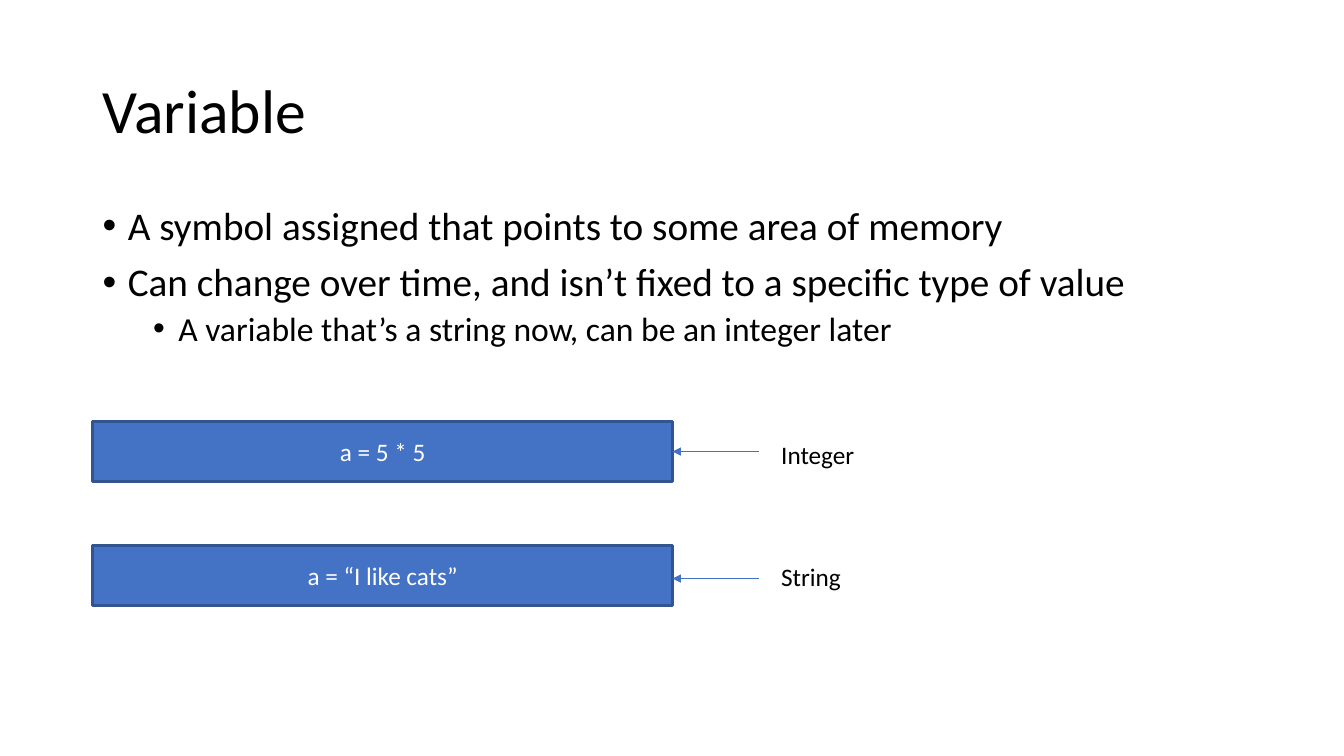
import pptx
import pptx.dml.color
import pptx.enum.shapes
import pptx.enum.text
import pptx.oxml
import pptx.oxml.ns
import pptx.util
from pptx.util import Inches

FONT = "Calibri"
BLACK = "000000"
WHITE = "FFFFFF"
BLUE = "4472C4"
DARK_BLUE = "325490"
LEFT = 0.92
BOX_WIDTH = 5.75
BOX_HEIGHT = 0.6

BULLETS = [
    ("A symbol assigned that points to some area of memory", 0),
    ("Can change over time, and isn\u2019t fixed to a specific type of value", 0),
    ("A variable that\u2019s a string now, can be an integer later", 1),
]
EXAMPLES = [
    ("a = 5 * 5", "Integer", 4.18, 4.48, 4.31),
    ("a = \u201cI like cats\u201d", "String", 5.41, 5.74, 5.52),
]


def color(value):
    return pptx.dml.color.RGBColor.from_string(value)


def add_child(parent, tag, **attributes):
    child = pptx.oxml.ns.qn(tag)
    element = parent.makeelement(child, attributes)
    parent.append(element)


def add_span(para, text, size, fill=BLACK):
    span = para.add_run()
    span.text = text
    span.font.name = FONT
    span.font.size = pptx.util.Pt(size)
    span.font.color.rgb = color(fill)


def add_title(page, text):
    title = page.shapes.title
    title.left, title.top = Inches(LEFT), Inches(0.4)
    title.width, title.height = Inches(11.5), Inches(1.45)
    frame = title.text_frame
    frame.auto_size = pptx.enum.text.MSO_AUTO_SIZE.NONE
    frame.vertical_anchor = pptx.enum.text.MSO_ANCHOR.MIDDLE
    para = frame.paragraphs[0]
    para.alignment = pptx.enum.text.PP_ALIGN.LEFT
    para.line_spacing = 0.9
    add_span(para, text, 44)


def add_text_box(page, left, top, width, height):
    box = page.shapes.add_textbox(Inches(left), Inches(top), Inches(width), Inches(height))
    box.text_frame.word_wrap = True
    return box.text_frame


def add_bullets(page, bullets):
    frame = add_text_box(page, LEFT, 2, 11.5, 4.76)
    for index, (text, level) in enumerate(bullets):
        para = frame.add_paragraph() if index else frame.paragraphs[0]
        para.level = level
        para.line_spacing = 0.9
        para.space_before = pptx.util.Pt(5 if level else 10)
        properties = para._p.get_or_add_pPr()
        properties.set("marL", str(Inches(0.25 + 0.5 * level)))
        properties.set("indent", str(Inches(-0.25)))
        add_child(properties, "a:buFont", typeface="Arial")
        add_child(properties, "a:buChar", char="\u2022")
        add_span(para, text, 24 if level else 28)


def add_code_box(page, text, top):
    box = page.shapes.add_shape(
        pptx.enum.shapes.MSO_SHAPE.RECTANGLE,
        Inches(LEFT), Inches(top), Inches(BOX_WIDTH), Inches(BOX_HEIGHT),
    )
    box.shadow.inherit = False
    box.fill.solid()
    box.fill.fore_color.rgb = color(BLUE)
    box.line.color.rgb = color(DARK_BLUE)
    box.line.width = pptx.util.Pt(2)
    box.text_frame.vertical_anchor = pptx.enum.text.MSO_ANCHOR.MIDDLE
    para = box.text_frame.paragraphs[0]
    para.alignment = pptx.enum.text.PP_ALIGN.CENTER
    add_span(para, text, 18, WHITE)


def add_arrow(page, start, end, y):
    arrow = page.shapes.add_connector(
        pptx.enum.shapes.MSO_CONNECTOR.STRAIGHT,
        Inches(start), Inches(y), Inches(end), Inches(y),
    )
    arrow.line.color.rgb = color(BLUE)
    arrow.line.width = pptx.util.Pt(0.75)
    add_child(arrow.line._get_or_add_ln(), "a:tailEnd", type="triangle")
    add_child(arrow._element.spPr, "a:effectLst")


def add_label(page, text, top):
    frame = add_text_box(page, 7.65, top, 2.34, 0.4)
    add_span(frame.paragraphs[0], text, 18)


def main():
    deck = pptx.Presentation()
    deck.slide_width, deck.slide_height = Inches(13.33), Inches(7.5)
    page = deck.slides.add_slide(deck.slide_layouts[5])
    add_title(page, "Variable")
    add_bullets(page, BULLETS)
    for code, kind, box_top, arrow_y, label_top in EXAMPLES:
        add_code_box(page, code, box_top)
        add_arrow(page, 7.53, LEFT + BOX_WIDTH, arrow_y)
        add_label(page, kind, label_top)
    deck.save("out.pptx")


main()
